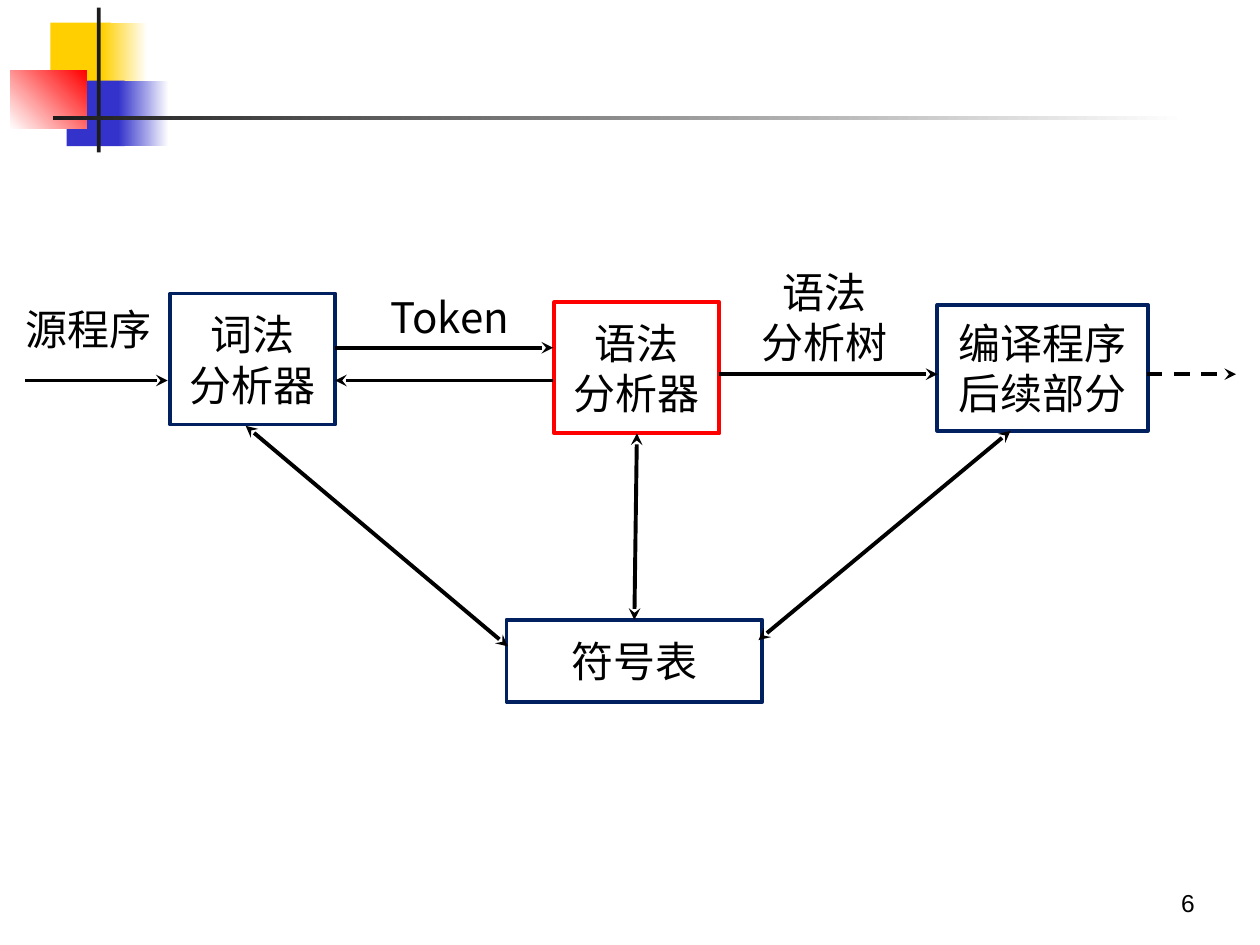
from lxml import etree
from pptx import Presentation
from pptx.dml.color import RGBColor
from pptx.enum.dml import MSO_LINE
from pptx.enum.shapes import MSO_CONNECTOR, MSO_SHAPE
from pptx.enum.text import MSO_ANCHOR, PP_ALIGN
from pptx.oxml.ns import qn
from pptx.util import Inches, Pt

RECTANGLE = MSO_SHAPE.RECTANGLE
STRAIGHT = MSO_CONNECTOR.STRAIGHT
DASH = MSO_LINE.DASH
MIDDLE, BOTTOM = MSO_ANCHOR.MIDDLE, MSO_ANCHOR.BOTTOM
CENTER, RIGHT = PP_ALIGN.CENTER, PP_ALIGN.RIGHT

BLACK = RGBColor(0x00, 0x00, 0x00)
WHITE = RGBColor(0xFF, 0xFF, 0xFF)
CHARCOAL = RGBColor(0x1C, 0x1C, 0x1C)
YELLOW = RGBColor(0xFF, 0xCF, 0x01)
BLUE = RGBColor(0x33, 0x33, 0xCC)
RED = RGBColor(0xFF, 0x00, 0x00)
NAVY = RGBColor(0x00, 0x20, 0x60)
CJK_FONT = "Noto Sans CJK SC"


def write_text(shape, text, size=24, font=CJK_FONT, align=CENTER, anchor=MIDDLE, wrap=False):
    text_frame = shape.text_frame
    text_frame.text = text
    text_frame.word_wrap = wrap
    text_frame.vertical_anchor = anchor
    for paragraph in text_frame.paragraphs:
        paragraph.alignment = align
        paragraph.font.name = font
        paragraph.font.size = Pt(size)
        paragraph.font.color.rgb = BLACK
        properties = paragraph.font._element
        etree.SubElement(properties, qn("a:ea"), typeface=font)


def add_arrow(start, end, both_ends=False):
    arrow = slide.shapes.add_connector(STRAIGHT, *map(Inches, start + end))
    arrow.line.color.rgb = BLACK
    arrow.line.width = Pt(2.25)
    line = arrow.line._get_or_add_ln()
    if both_ends:
        etree.SubElement(line, qn("a:headEnd"), type="stealth")
    etree.SubElement(line, qn("a:tailEnd"), type="stealth")
    etree.SubElement(arrow._element.spPr, qn("a:effectLst"))
    return arrow


presentation = Presentation()
presentation.slide_width = Inches(10)
presentation.slide_height = Inches(7.5)
slide = presentation.slides.add_slide(presentation.slide_layouts[6])

decorations = [
    ((0.4, 0.18, 0.48, 0.52), YELLOW, None, 0),
    ((0.81, 0.18, 0.36, 0.52), YELLOW, WHITE, 0),
    ((0.53, 0.64, 0.46, 0.52), BLUE, None, 0),
    ((0.94, 0.64, 0.4, 0.52), BLUE, WHITE, 0),
    ((0.08, 0.56, 0.61, 0.46), WHITE, RED, 45),
    ((0.77, 0.06, 0.03, 1.15), CHARCOAL, None, 0),
    ((0.42, 0.92, 9, 0.03), CHARCOAL, WHITE, 0),
]
for bounds, first_color, last_color, angle in decorations:
    shape = slide.shapes.add_shape(RECTANGLE, *map(Inches, bounds))
    shape.shadow.inherit = False
    shape.line.fill.background()
    if last_color is None:
        shape.fill.solid()
        shape.fill.fore_color.rgb = first_color
    else:
        shape.fill.gradient()
        shape.fill.gradient_angle = angle
        for stop, color, position in zip(shape.fill.gradient_stops, (first_color, last_color), (0, 1)):
            stop.color.rgb = color
            stop.position = position

page_number = slide.shapes.add_textbox(*map(Inches, (7.5, 6.83, 2.08, 0.5)))
write_text(page_number, "6", 14, "Arial", RIGHT, BOTTOM, True)

labels = [
    ("源程序", (0.08, 2.27, 1.25, 0.68)),
    ("Token", (2.9, 2.14, 1.34, 0.75)),
    ("语法\n分析树", (5.94, 2.06, 1.21, 0.91)),
]
for text, bounds in labels:
    label = slide.shapes.add_textbox(*map(Inches, bounds))
    write_text(label, text)

boxes = [
    ("词法\n分析器", (1.35, 2.33, 1.31, 1.04), NAVY),
    ("语法\n分析器", (4.4, 2.4, 1.31, 1.04), RED),
    ("符号表", (4.02, 4.92, 2.03, 0.65), NAVY),
    ("编译程序\n后续部分", (7.44, 2.42, 1.67, 1), NAVY),
]
box_shapes = []
for text, bounds, color in boxes:
    box = slide.shapes.add_shape(RECTANGLE, *map(Inches, bounds))
    box.shadow.inherit = False
    box.fill.background()
    box.line.color.rgb = color
    box.line.width = Pt(2.25)
    write_text(box, text)
    box_shapes.append(box)
lexer, parser, symbol_table, later_stages = box_shapes

add_arrow((0.2, 3.02), (1.33, 3.02))
add_arrow((2.66, 2.76), (4.39, 2.76))
add_arrow((4.39, 3.02), (2.66, 3.02))
add_arrow((5.71, 2.97), (7.44, 2.97))
add_arrow((1.95, 3.38), (4.03, 5.13), True)
add_arrow((8.02, 3.42), (6.02, 5.08), True)

parser_link = add_arrow((5.08, 3.43), (5.08, 4.92), True)
parser_link.begin_connect(parser, 2)
parser_link.end_connect(symbol_table, 0)

output_arrow = add_arrow((9.1, 2.97), (9.81, 2.97))
output_arrow.line.dash_style = DASH

presentation.save("out.pptx")
